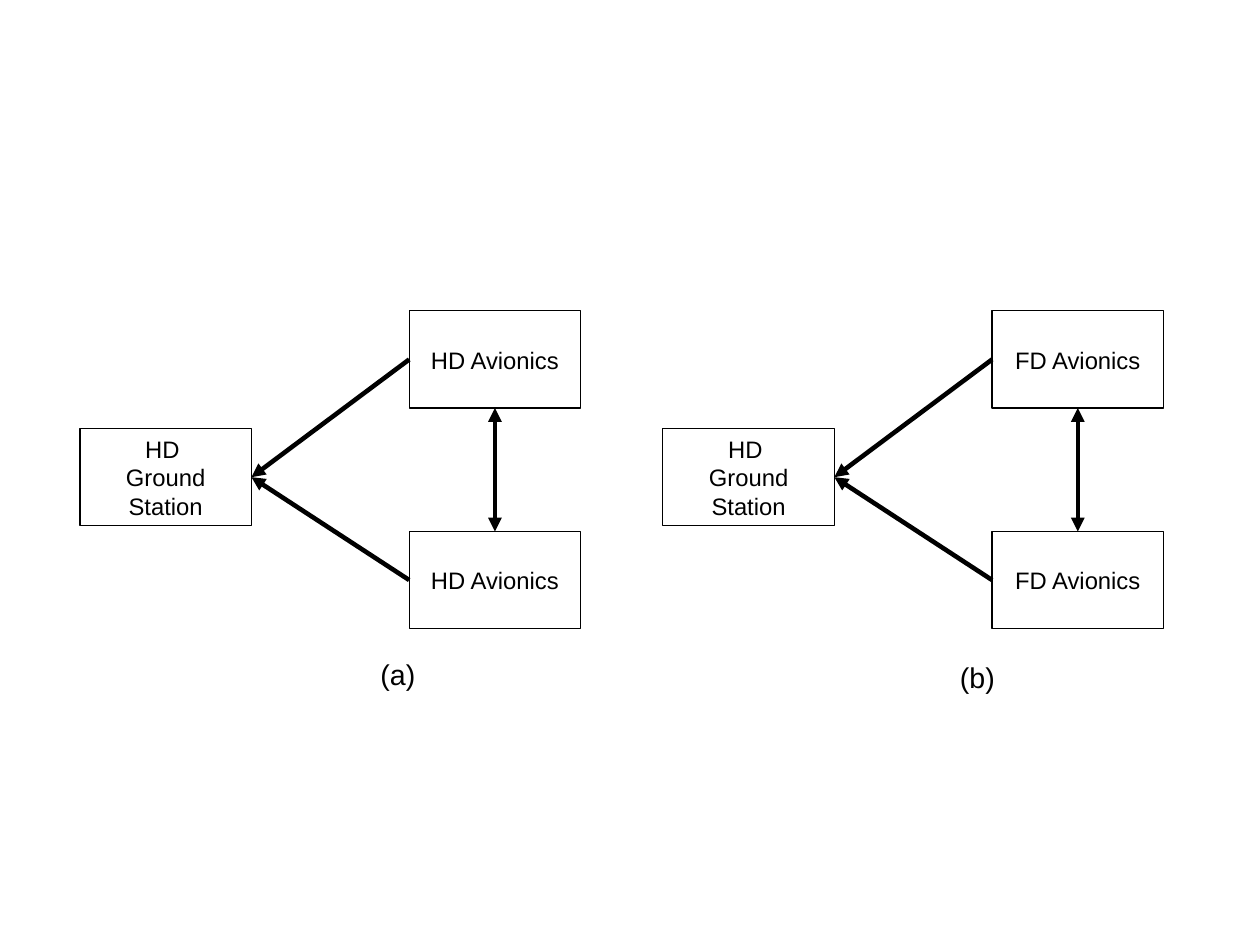
from dataclasses import dataclass

from lxml import etree
from pptx import Presentation
from pptx import util as u
from pptx.dml.color import RGBColor
from pptx.enum import shapes, text
from pptx.oxml import ns
from pptx.slide import Slide
from pptx.text.text import TextFrame

BLACK, WHITE = "000000", "FFFFFF"
BOX_W, BOX_H = 1.5, 0.85
STATION_Y, UPPER_Y, LOWER_Y = 3.75, 2.72, 4.65
AVIONICS_DX = 2.88
CAPTION_W, CAPTION_H = 0.57, 0.38


@dataclass
class Network:
    left: float
    avionics: str
    caption: str
    caption_x: float
    caption_y: float


NETWORKS = [
    Network(0.7, "HD Avionics", "(a)", 3.23, 5.7),
    Network(5.8, "FD Avionics", "(b)", 8.3, 5.72),
]


def color(value: str) -> RGBColor:
    return RGBColor.from_string(value)


def write(tf: TextFrame, lines: list[str], size: float, align: text.PP_ALIGN) -> None:
    tf.word_wrap = True
    for i, line in enumerate(lines):
        p = tf.paragraphs[0] if i == 0 else tf.add_paragraph()
        p.alignment = align
        r = p.add_run()
        r.text = line
        r.font.name = "Arial"
        r.font.size = u.Pt(size)
        r.font.color.rgb = color(BLACK)


def add_box(s: Slide, x: float, y: float, lines: list[str]) -> None:
    sp = s.shapes.add_shape(
        shapes.MSO_SHAPE.RECTANGLE,
        u.Inches(x), u.Inches(y), u.Inches(BOX_W), u.Inches(BOX_H),
    )
    sp.shadow.inherit = False
    sp.fill.solid()
    sp.fill.fore_color.rgb = color(WHITE)
    sp.line.color.rgb = color(BLACK)
    sp.line.width = u.Pt(0)
    tf = sp.text_frame
    tf.vertical_anchor = text.MSO_ANCHOR.MIDDLE
    write(tf, lines, 15, text.PP_ALIGN.CENTER)


def add_arrow(s: Slide, x1: float, y1: float, x2: float, y2: float,
              ends: tuple[str, ...] = ("tailEnd",)) -> None:
    c = s.shapes.add_connector(
        shapes.MSO_CONNECTOR.STRAIGHT,
        u.Inches(x1), u.Inches(y1), u.Inches(x2), u.Inches(y2),
    )
    c.line.color.rgb = color(BLACK)
    c.line.width = u.Pt(2.89)
    ln = c.line._get_or_add_ln()
    for end in ends:
        etree.SubElement(ln, ns.qn(f"a:{end}"), type="triangle")
    etree.SubElement(c._element.spPr, ns.qn("a:effectLst"))


def add_caption(s: Slide, net: Network) -> None:
    sp = s.shapes.add_textbox(
        u.Inches(net.caption_x), u.Inches(net.caption_y),
        u.Inches(CAPTION_W), u.Inches(CAPTION_H),
    )
    tf = sp.text_frame
    tf.auto_size = text.MSO_AUTO_SIZE.SHAPE_TO_FIT_TEXT
    write(tf, [net.caption], 18, text.PP_ALIGN.LEFT)


def add_network(s: Slide, net: Network) -> None:
    avionics_x = net.left + AVIONICS_DX
    center_x = avionics_x + BOX_W / 2
    add_box(s, net.left, STATION_Y, ["HD ", "Ground Station"])
    for y in (UPPER_Y, LOWER_Y):
        add_box(s, avionics_x, y, [net.avionics])
    add_arrow(s, center_x, LOWER_Y, center_x, UPPER_Y + BOX_H, ("headEnd", "tailEnd"))
    for y in (UPPER_Y, LOWER_Y):
        add_arrow(s, avionics_x, y + BOX_H / 2, net.left + BOX_W, STATION_Y + BOX_H / 2)
    add_caption(s, net)


def main() -> None:
    prs = Presentation()
    prs.slide_width = u.Cm(28)
    prs.slide_height = u.Cm(21)
    s = prs.slides.add_slide(prs.slide_layouts[6])
    for net in NETWORKS:
        add_network(s, net)
    prs.save("out.pptx")


if __name__ == "__main__":
    main()
